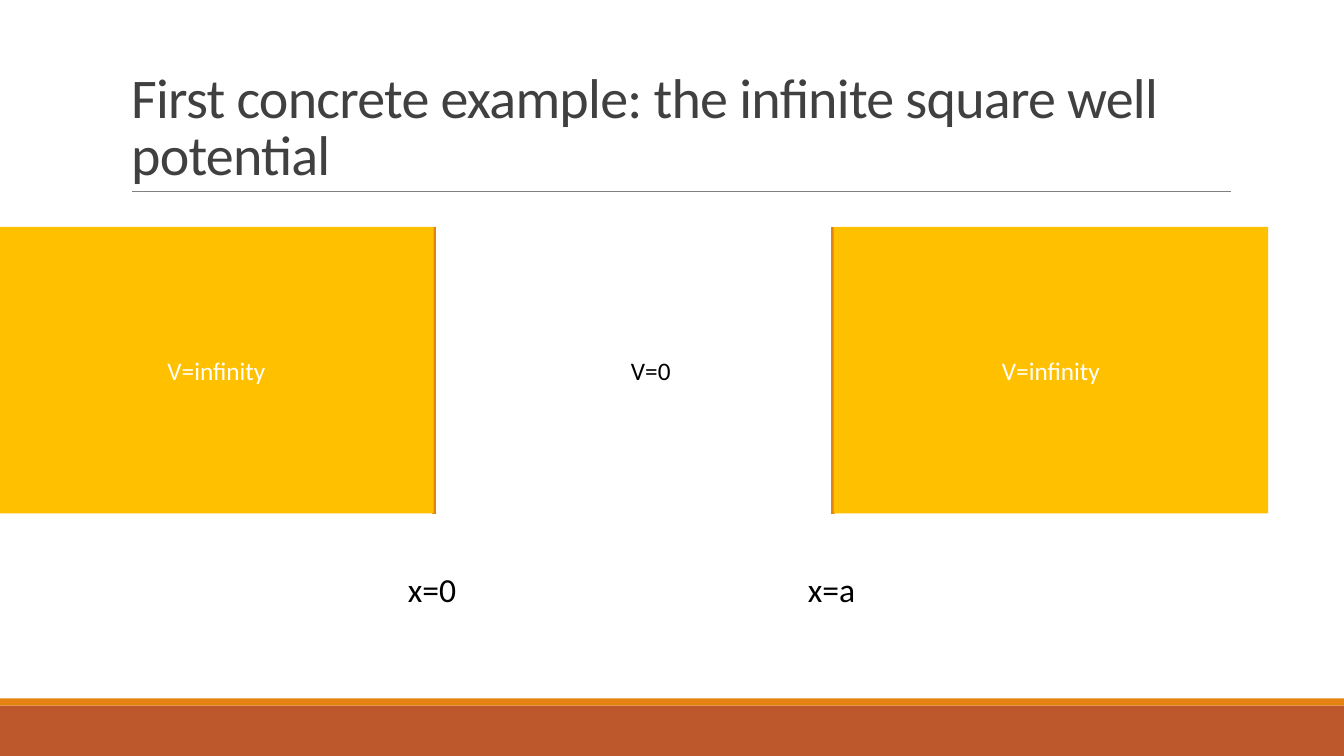
from typing import NamedTuple

from lxml import etree
from pptx import Presentation
from pptx import util as u
from pptx.dml.color import RGBColor
from pptx.enum import shapes, text
from pptx.oxml.ns import qn

FONT = "Calibri"
ORANGE = "E48312"
GOLD = "FFC000"
WALL_TOP = 5.72
WALL_TALL = 7.22


class Box(NamedTuple):
    left: float
    top: float
    width: float
    height: float
    fill: str
    words: str = ""


class Line(NamedTuple):
    left: float
    top: float
    right: float
    low: float
    tint: str
    weight: float


class Label(NamedTuple):
    left: float
    top: float
    width: float
    height: float
    words: str
    size: float
    align: text.PP_ALIGN


def color(code: str) -> RGBColor:
    return RGBColor.from_string(code)


def style(frame, size: float, tint: str, align: text.PP_ALIGN) -> None:
    for para in frame.paragraphs:
        para.alignment = align
        for run in para.runs:
            run.font.name = FONT
            run.font.size = u.Pt(size)
            run.font.color.rgb = color(tint)


def draw_box(slide, box: Box) -> None:
    shape = slide.shapes.add_shape(
        shapes.MSO_SHAPE.RECTANGLE, *map(u.Cm, box[:4]))
    shape.shadow.inherit = False
    shape.fill.solid()
    shape.fill.fore_color.rgb = color(box.fill)
    shape.line.fill.background()
    if box.words:
        frame = shape.text_frame
        frame.text = box.words
        frame.vertical_anchor = text.MSO_ANCHOR.MIDDLE
        style(frame, 18, "FFFFFF", text.PP_ALIGN.CENTER)


def draw_line(slide, line: Line) -> None:
    link = slide.shapes.add_connector(
        shapes.MSO_CONNECTOR.STRAIGHT, *map(u.Cm, line[:4]))
    link.line.color.rgb = color(line.tint)
    link.line.width = u.Pt(line.weight)
    etree.SubElement(link._element.spPr, qn("a:effectLst"))


def draw_label(slide, label: Label) -> None:
    frame = slide.shapes.add_textbox(*map(u.Cm, label[:4])).text_frame
    frame.word_wrap = False
    frame.auto_size = text.MSO_AUTO_SIZE.SHAPE_TO_FIT_TEXT
    frame.text = label.words
    style(frame, label.size, "000000", label.align)


def set_title(slide, words: str) -> None:
    title = slide.shapes.title
    title.left, title.top, title.width, title.height = map(
        u.Cm, (3.05, 0.79, 27.94, 4.04))
    frame = title.text_frame
    frame.text = words
    frame.word_wrap = True
    frame.auto_size = text.MSO_AUTO_SIZE.NONE
    frame.vertical_anchor = text.MSO_ANCHOR.BOTTOM
    style(frame, 40, "404040", text.PP_ALIGN.LEFT)
    para = frame.paragraphs[0]
    para.line_spacing = 0.85
    para.runs[0].font._element.set("spc", "-50")


def main() -> None:
    deck = Presentation()
    deck.slide_width, deck.slide_height = u.Cm(33.87), u.Cm(19.05)
    slide = deck.slides.add_slide(deck.slide_layouts[5])
    left, center = text.PP_ALIGN.LEFT, text.PP_ALIGN.CENTER

    set_title(slide, "First concrete example: the infinite square well potential")
    parts = (
        Box(0, 17.78, 33.87, 1.27, "BD582C"),
        Box(0, 17.6, 33.87, 0.18, ORANGE),
        Line(3.33, 4.83, 31.01, 4.83, "808080", 0.5),
    )
    walls = [
        part
        for edge, start in ((10.94, -0.02), (20.99, 21.01))
        for part in (
            Line(edge, WALL_TOP, edge, WALL_TOP + WALL_TALL, ORANGE, 2.75),
            Box(start, WALL_TOP, 10.95, WALL_TALL, GOLD, "V=infinity"),
        )
    ]
    labels = (
        Label(10.03, 14.22, 1.75, 1.27, "x=0", 24, left),
        Label(20.11, 14.22, 1.73, 1.27, "x=a", 24, left),
        Label(15.64, 8.82, 1.52, 1.02, "V=0", 18, center),
    )
    for part in (*parts, *walls):
        if isinstance(part, Box):
            draw_box(slide, part)
        else:
            draw_line(slide, part)
    for label in labels:
        draw_label(slide, label)
    deck.save("out.pptx")


if __name__ == "__main__":
    main()
